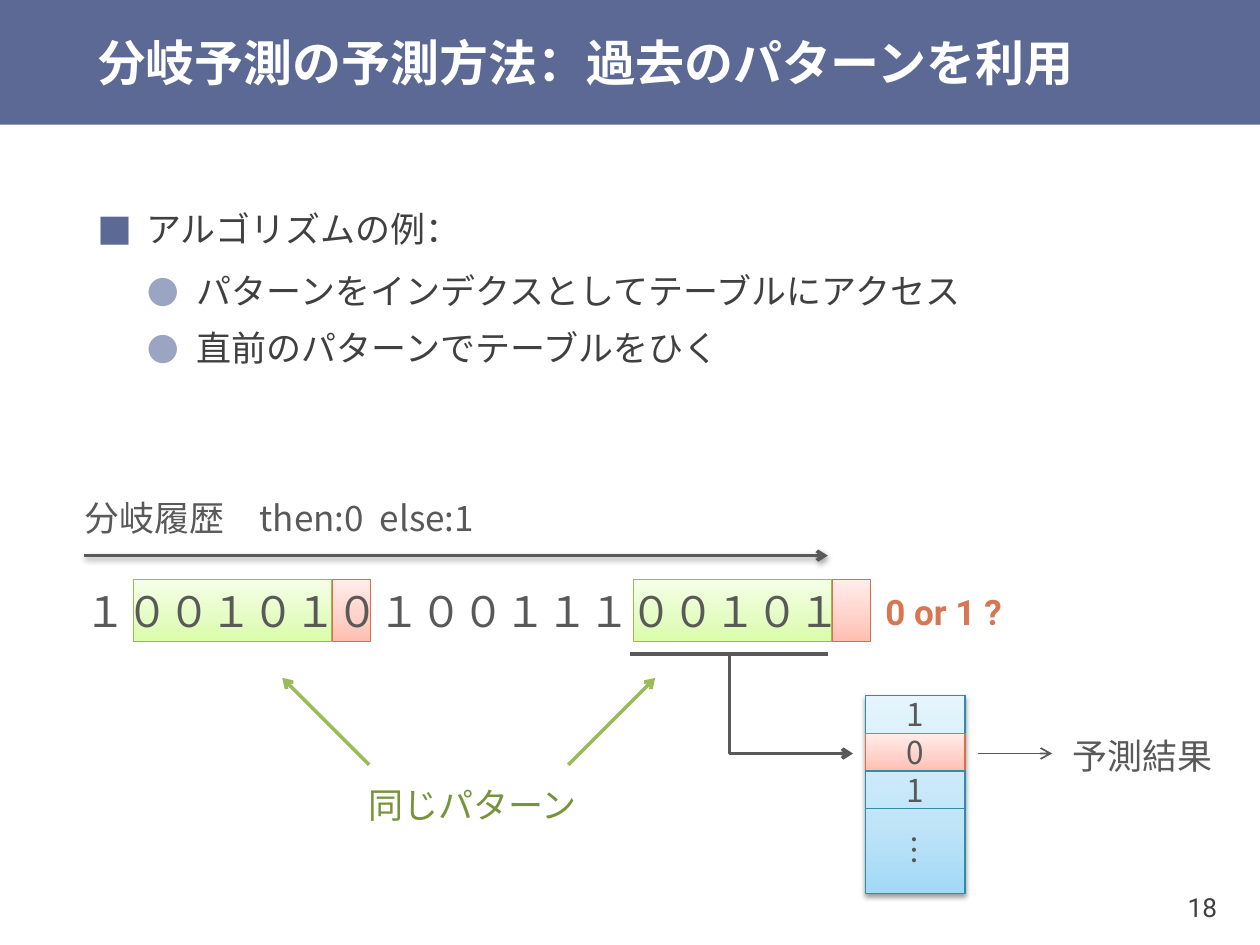
from lxml import etree
from pptx import Presentation
from pptx.dml.color import RGBColor
from pptx.enum import shapes, text
from pptx.oxml import ns
from pptx.util import Inches, Pt

CJK = "Noto Sans CJK JP"
GRAY = "595959"
GREEN = ("DAFDA7", "E4FCC2", "F5FFE7")
RED = ("FFBEB0", "FFD0C7", "FFEDEA")
BLUE = ("A2D9F7", "BFE4F8", "E6F5FD")
GREEN_EDGE, RED_EDGE, BLUE_EDGE = "98B955", "D7714D", "2E8DAB"
LEFT, CENTER, RIGHT = text.PP_ALIGN.LEFT, text.PP_ALIGN.CENTER, text.PP_ALIGN.RIGHT


def paint(part, fill=None, line=None, width=0.75, arrow=False, shadow=False):
    """Set fill (hex, or three hexes for a gradient), outline, arrowhead and shadow."""
    properties = part._element.spPr
    if isinstance(fill, tuple):
        part.fill.gradient()
        part.fill.gradient_angle = 90
        stops = properties.find(".//" + ns.qn("a:gsLst"))
        stops.clear()
        for position, color in zip((0, 35000, 100000), fill):
            stop = etree.SubElement(stops, ns.qn("a:gs"), pos=str(position))
            etree.SubElement(stop, ns.qn("a:srgbClr"), val=color)
    elif fill:
        part.fill.solid()
        part.fill.fore_color.rgb = RGBColor.from_string(fill)
    elif hasattr(part, "fill"):
        part.fill.background()
    if line:
        part.line.color.rgb = RGBColor.from_string(line)
        part.line.width = Pt(width)
    else:
        part.line.fill.background()
    if arrow:
        etree.SubElement(properties.find(ns.qn("a:ln")), ns.qn("a:tailEnd"), type="arrow")
    effects = etree.SubElement(properties, ns.qn("a:effectLst"))
    if shadow:
        outer = etree.SubElement(effects, ns.qn("a:outerShdw"), blurRad=str(Pt(3.1)),
                                 dist=str(Pt(1.6)), dir="5400000", rotWithShape="0")
        black = etree.SubElement(outer, ns.qn("a:srgbClr"), val="000000")
        etree.SubElement(black, ns.qn("a:alpha"), val="38000")


def write(frame, *lines, size=20, color=GRAY, font="Roboto", bold=False, align=LEFT,
          anchor=text.MSO_ANCHOR.MIDDLE, wrap=True, insets=(0.1, 0.05)):
    """Fill a text frame with one paragraph per line in a single format."""
    frame.word_wrap = wrap
    frame.auto_size = text.MSO_AUTO_SIZE.NONE
    frame.vertical_anchor = anchor
    frame.margin_left = frame.margin_right = Inches(insets[0])
    frame.margin_top = frame.margin_bottom = Inches(insets[1])
    for index, line in enumerate(lines):
        paragraph = frame.paragraphs[0] if index == 0 else frame.add_paragraph()
        paragraph.alignment = align
        run = paragraph.add_run()
        run.text = line
        run.font.size, run.font.bold, run.font.name = Pt(size), bold, font
        run.font.color.rgb = RGBColor.from_string(color)
        east_asian = etree.Element(ns.qn("a:ea"), typeface=CJK)
        run.font._element.find(ns.qn("a:latin")).addnext(east_asian)


deck = Presentation()
deck.slide_width, deck.slide_height = Inches(10), Inches(7.5)
slide = deck.slides.add_slide(deck.slide_layouts[1])
canvas = slide.shapes
RECT = shapes.MSO_SHAPE.RECTANGLE

# Header band, title and page number
band = canvas.add_shape(RECT, 0, 0, Inches(10), Inches(0.99))
paint(band, "5C6994")
canvas._spTree.insert(2, band._element)

title = canvas.title
title.left, title.top, title.width, title.height = map(Inches, (0.67, 0, 9.33, 0.99))
write(title.text_frame, "分岐予測の予測方法:過去のパターンを利用".replace(":", "："),
      size=28, color="FFFFFF", bold=True, insets=(0.1, 0))

page_number = canvas.add_textbox(*map(Inches, (8.94, 6.9, 0.79, 0.6)))
write(page_number.text_frame, "18", size=15, color="404040", align=RIGHT, insets=(0.07, 0.04))

# Bulleted outline
outline = slide.placeholders[1]
outline.left, outline.top, outline.width, outline.height = map(Inches, (0.67, 1.58, 8.76, 1.38))
write(outline.text_frame, "アルゴリズムの例：", "パターンをインデクスとしてテーブルにアクセス",
      "直前のパターンでテーブルをひく", color="404040")
for index, item in enumerate(outline.text_frame.paragraphs):
    item.level = min(index, 1)
    before, after, bullet, bullet_color, bullet_size = (
        (3, 3, "●", "9BA4C1", 90) if item.level else (24, 6, "■", "5C6994", 100))
    item.line_spacing = 1.1
    item.space_before, item.space_after = Pt(before), Pt(after)
    settings = item._p.get_or_add_pPr()
    settings.set("marL", str(Inches(0.39 + 0.4 * item.level)))
    settings.set("indent", str(Inches(-0.39)))
    tint = etree.SubElement(settings, ns.qn("a:buClr"))
    etree.SubElement(tint, ns.qn("a:srgbClr"), val=bullet_color)
    etree.SubElement(settings, ns.qn("a:buSzPct"), val=str(bullet_size * 1000))
    etree.SubElement(settings, ns.qn("a:buFont"), typeface=CJK)
    etree.SubElement(settings, ns.qn("a:buChar"), char=bullet)

# Branch history: each pattern is followed by its outcome
for pattern_left in (1.06, 5.03):
    for left, width, fill, edge in ((pattern_left + 1.58, 0.3, RED, RED_EDGE),
                                    (pattern_left, 1.57, GREEN, GREEN_EDGE)):
        span = canvas.add_shape(RECT, *map(Inches, (left, 4.6, width, 0.49)))
        paint(span, fill, edge)

history = canvas.add_textbox(*map(Inches, (0.57, 4.6, 7.78, 0.49)))
write(history.text_frame, "１００１０１０１００１１１００１０１", size=24, font=CJK)

history_label = canvas.add_textbox(*map(Inches, (0.57, 3.91, 5.12, 0.39)))
write(history_label.text_frame, "分岐履歴　then:0  else:1", font=CJK)

# Prediction table
table_left, table_top, table_width, row_height = 6.87, 5.52, 0.79, 0.3
table_body = canvas.add_shape(RECT, *map(Inches, (table_left, table_top, table_width, 1.57)))
paint(table_body, BLUE, BLUE_EDGE, shadow=True)
for row, (bit, fill, edge) in enumerate((("1", None, BLUE_EDGE), ("0", RED, RED_EDGE),
                                         ("1", None, BLUE_EDGE))):
    entry = canvas.add_shape(RECT, Inches(table_left), Inches(table_top + row * row_height),
                             Inches(table_width), Inches(row_height))
    paint(entry, fill, edge)
    write(entry.text_frame, bit, size=18, font=CJK, align=CENTER, wrap=False, insets=(0, 0))

ellipsis = canvas.add_textbox(*map(Inches, (6.92, 6.6, 0.69, 0.3)))
ellipsis.rotation = 90
write(ellipsis.text_frame, "…", size=18, font=CJK, align=CENTER, wrap=False, insets=(0, 0))

# Lines and arrows
lookup = canvas.build_freeform(Inches(5.79), Inches(5.19))
lookup.add_line_segments([(Inches(5.79), Inches(5.98)), (Inches(6.77), Inches(5.98))], close=False)
paint(lookup.convert_to_shape(), line=GRAY, width=2, arrow=True)

for ends, color, width, arrow, shadow in (
        ((0.67, 4.41, 6.57, 4.41), GRAY, 2, True, True),
        ((5, 5.19, 6.57, 5.19), GRAY, 2, False, False),
        ((7.76, 5.98, 8.35, 5.98), GRAY, 1, True, False),
        ((2.93, 6.07, 2.24, 5.38), "9BBB59", 2, True, False),
        ((4.51, 6.07, 5.2, 5.38), "9BBB59", 2, True, False)):
    link = canvas.add_connector(shapes.MSO_CONNECTOR.STRAIGHT, *map(Inches, ends))
    paint(link, line=color, width=width, arrow=arrow, shadow=shadow)

# Captions
for caption, left, top, color, bold in (("予測結果", 8.84, 5.78, GRAY, False),
                                        ("同じパターン", 3.52, 6.17, "77933C", False),
                                        ("0 or 1 ?", 7.26, 4.64, "D87552", True)):
    label = canvas.add_textbox(*map(Inches, (left, top, 0.46, 0.44)))
    write(label.text_frame, caption, color=color, bold=bold, align=CENTER,
          anchor=text.MSO_ANCHOR.TOP, wrap=False)

deck.save("out.pptx")
